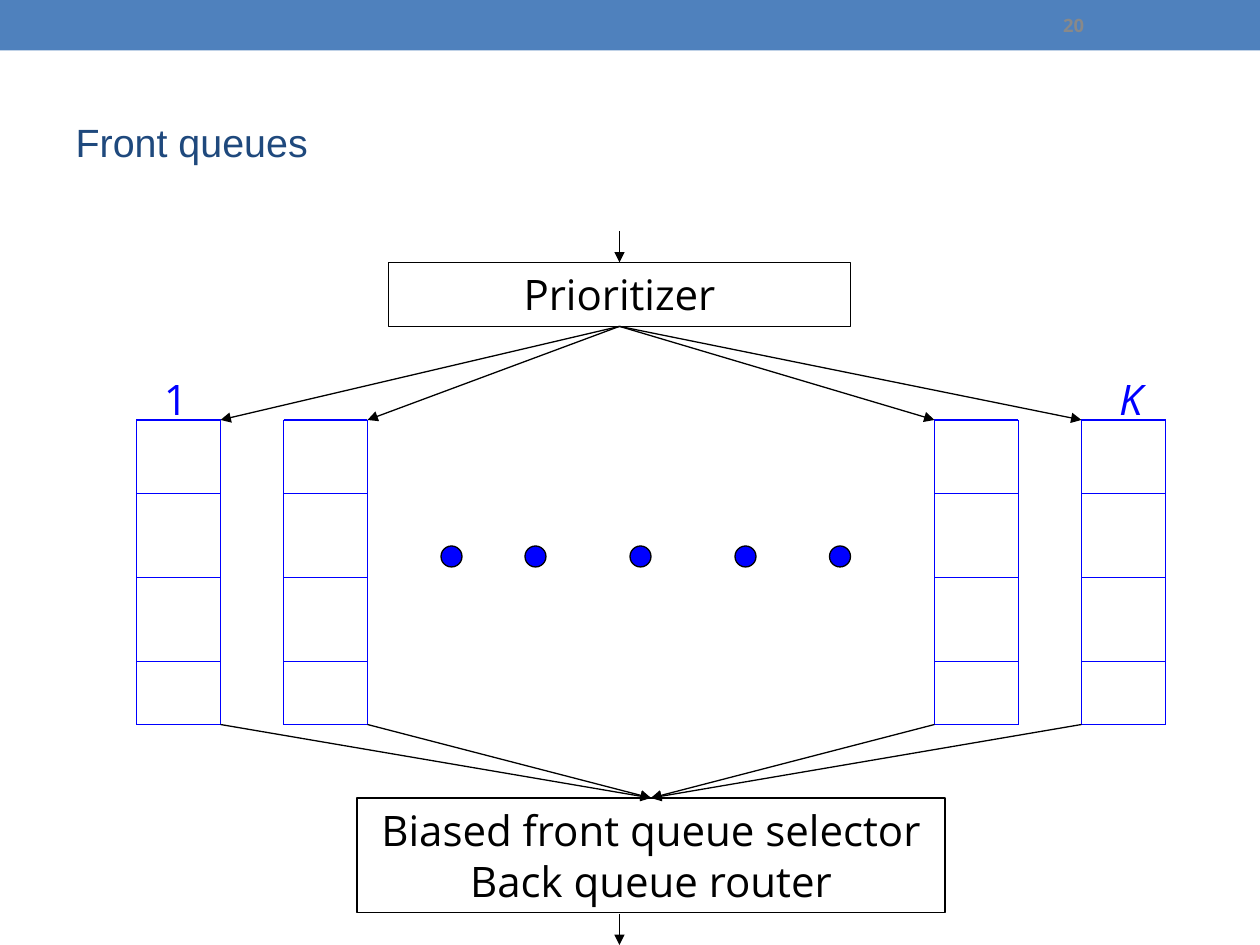
from dataclasses import dataclass

from lxml.etree import SubElement
from pptx import Presentation
from pptx.dml.color import RGBColor as Color
from pptx.enum.shapes import MSO_CONNECTOR as Connector, MSO_SHAPE as Shape
from pptx.enum.text import MSO_ANCHOR as Anchor, PP_ALIGN as Align
from pptx.oxml.ns import qn
from pptx.util import Pt


@dataclass(frozen=True)
class Theme:
    band: Color = Color(0x4F, 0x81, 0xBD)
    title: Color = Color(0x1F, 0x49, 0x7D)
    number: Color = Color(0x89, 0x89, 0x89)
    ink: Color = Color(0, 0, 0)
    queue: Color = Color(0, 0, 0xFF)
    title_font: str = "Arial"
    body_font: str = "Open Sans"
    title_size: float = 22.5
    label_size: float = 24
    number_size: float = 10.5
    line_width: float = 0.75


class SlideBuilder:
    def __init__(self, slide, theme):
        self.slide = slide
        self.theme = theme

    def set_text(self, shape, lines, color, align=Align.CENTER,
                 anchor=Anchor.TOP, **font_values):
        frame = shape.text_frame
        frame.word_wrap = True
        frame.vertical_anchor = anchor
        frame.text = "\n".join(lines)
        values = {"name": self.theme.body_font,
                  "size": Pt(self.theme.label_size), **font_values}
        for paragraph in frame.paragraphs:
            paragraph.alignment = align
            for run in paragraph.runs:
                run.font.color.rgb = color
                for name, value in values.items():
                    setattr(run.font, name, value)

    def title(self, text, left, top, width, height):
        shape = self.slide.shapes.title
        box = {"left": left, "top": top, "width": width, "height": height}
        for name, value in box.items():
            setattr(shape, name, Pt(value))
        self.set_text(shape, [text], self.theme.title, Align.LEFT,
                      Anchor.MIDDLE, name=self.theme.title_font,
                      size=Pt(self.theme.title_size))

    def shape(self, kind, box, fill=None, outline=None):
        shape = self.slide.shapes.add_shape(kind, *map(Pt, box))
        shape.shadow.inherit = False
        if fill is None:
            shape.fill.background()
        else:
            shape.fill.solid()
            shape.fill.fore_color.rgb = fill
        if outline is None:
            shape.line.fill.background()
        else:
            shape.line.color.rgb = outline
            shape.line.width = Pt(self.theme.line_width)
        return shape

    def stage(self, lines, box, anchor=Anchor.TOP):
        shape = self.shape(Shape.RECTANGLE, box, outline=self.theme.ink)
        self.set_text(shape, lines, self.theme.ink, anchor=anchor)

    def label(self, text, box, color, **text_values):
        shape = self.slide.shapes.add_textbox(*map(Pt, box))
        self.set_text(shape, [text], color, Align.RIGHT, **text_values)

    def line(self, start, end, color):
        connector = self.slide.shapes.add_connector(
            Connector.STRAIGHT, *map(Pt, start + end))
        connector.line.color.rgb = color
        connector.line.width = Pt(self.theme.line_width)
        SubElement(connector._element.spPr, qn("a:effectLst"))
        return connector

    def arrow(self, start, end):
        connector = self.line(start, end, self.theme.ink)
        SubElement(connector.line._get_or_add_ln(), qn("a:tailEnd"),
                   type="triangle")

    def queue(self, left, width, rows):
        right, color = left + width, self.theme.queue
        for x in (left, right):
            self.line((x, rows[0]), (x, rows[-1]), color)
        for y in rows:
            self.line((left, y), (right, y), color)


def main():
    presentation = Presentation()
    presentation.slide_width, presentation.slide_height = Pt(720), Pt(540)
    theme = Theme()
    slide = presentation.slides.add_slide(presentation.slide_layouts[5])
    builder = SlideBuilder(slide, theme)

    # Top band, page number and title
    builder.shape(Shape.RECTANGLE, (0, 0, 720, 28.8), fill=theme.band)
    builder.label("20", (576, 0, 50.5, 28.8), theme.number, bold=True,
                  anchor=Anchor.MIDDLE, size=Pt(theme.number_size))
    builder.title("Front queues", 36, 42, 648, 78)

    # Prioritizer with its input
    center = 354
    builder.arrow((center, 132), (center, 150))
    builder.stage(["Prioritizer"], (222, 150, 264, 36.5))

    # Queues, and the dots for those left out
    queue_width = 48
    queue_lefts = (78, 162, 534, 618)
    rows = (240, 282, 330, 378, 414)
    for left in queue_lefts:
        builder.queue(left, queue_width, rows)
    for left in (252, 300, 360, 420, 474):
        builder.shape(Shape.OVAL, (left, 312, 12, 12), theme.queue, theme.ink)
    builder.label("1", (86.5, 210, 28, 36), theme.queue)
    builder.label("K", (630, 210, 30, 36), theme.queue, italic=True)

    # Selector and router with its output
    selector_center, selector_top = 372, 456
    builder.stage(["Biased front queue selector", "Back queue router"],
                  (204, selector_top, 336, 65.5), Anchor.MIDDLE)
    builder.arrow((center, 522), (center, 540))

    # Arrows meet each queue at its inner side
    for left in queue_lefts:
        inner = left + queue_width if left < center else left
        builder.arrow((center, 186.5), (inner, rows[0]))
        builder.arrow((inner, rows[-1]), (selector_center, selector_top))

    presentation.save("out.pptx")


if __name__ == "__main__":
    main()
